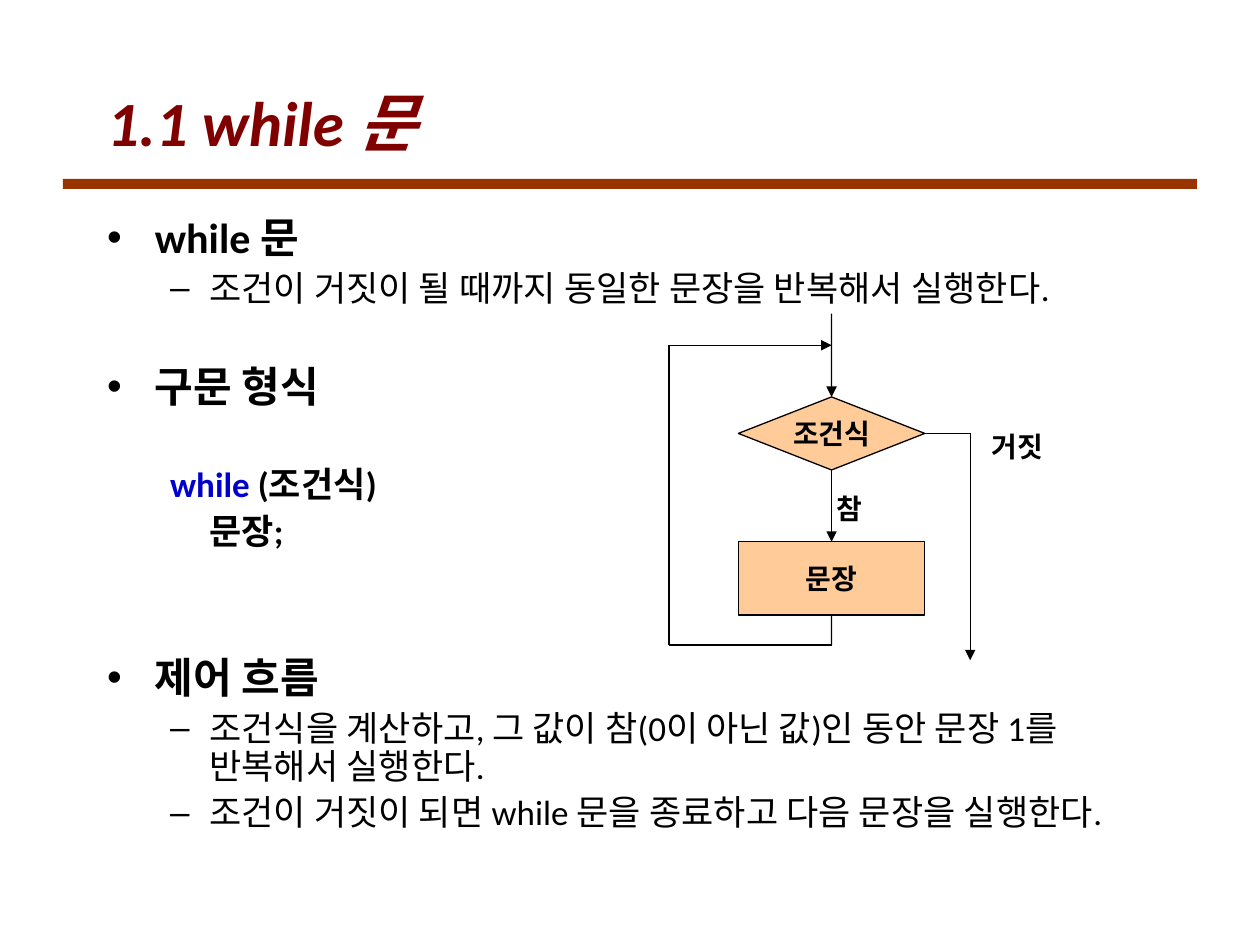
from pptx import Presentation
from pptx.dml.color import RGBColor
from pptx.enum.lang import MSO_LANGUAGE_ID
from pptx.enum.shapes import MSO_CONNECTOR, MSO_SHAPE
from pptx.enum.text import MSO_ANCHOR, MSO_AUTO_SIZE, PP_ALIGN
from pptx.oxml.ns import qn
from pptx.util import Emu, Inches, Pt
from lxml import etree

KOREAN = MSO_LANGUAGE_ID.KOREAN
STRAIGHT = MSO_CONNECTOR.STRAIGHT
DECISION = MSO_SHAPE.FLOWCHART_DECISION
PROCESS = MSO_SHAPE.FLOWCHART_PROCESS
RECTANGLE = MSO_SHAPE.RECTANGLE
LEFT, CENTER = PP_ALIGN.LEFT, PP_ALIGN.CENTER
MIDDLE, TOP_ANCHOR = MSO_ANCHOR.MIDDLE, MSO_ANCHOR.TOP
NO_AUTOFIT = MSO_AUTO_SIZE.NONE
TOP, BOTTOM, RIGHT = 0, 2, 3

COLORS = {"title": "800000", "rule": "993300", "text": "000000",
          "keyword": "0000CC", "box": "FFCC99", "line": "000000"}
BODY_FONT, CHART_FONT = "Calibri", "Noto Sans CJK KR"

TITLE = "1.1 while 문"
# Paragraph style, space before in points, runs of (text, colour)
BODY = [
    ("heading", 0, [("while 문", "text")]),
    ("item", 5, [("조건이 거짓이 될 때까지 동일한 문장을 반복해서 실행한다.", "text")]),
    ("heading", 33, [("구문 형식", "text")]),
    ("code", 32, [("while", "keyword"), (" (조건식)", "text")]),
    ("code_inner", 5, [("문장;", "text")]),
    ("heading", 60, [("제어 흐름", "text")]),
    ("item", 5, [("조건식을 계산하고, 그 값이 참(0이 아닌 값)인 동안 문장 1를 반복해서 실행한다.", "text")]),
    ("item", 5, [("조건이 거짓이 되면 while 문을 종료하고 다음 문장을 실행한다.", "text")]),
]
# level, left margin, first-line indent, bullet, size, bold
STYLES = {
    "heading": (0, 0.38, -0.38, "•", 24, True),
    "item": (1, 0.81, -0.31, "–", 20, False),
    "code": (1, 0.81, -0.31, None, 20, True),
    "code_inner": (1, 0.81, 0, None, 20, True),
}

# Flowchart grid, in inches
COLUMNS = {"loop": 5.31, "main": 6.6, "exit": 7.7}
ROWS = {"start": 2.49, "join": 2.74, "condition": 3.44, "statement": 4.59,
        "return": 5.12, "end": 5.24}
BOX_WIDTH, BOX_HEIGHT = 1.48, 0.58
BOXES = [("condition", DECISION, "조건식"), ("statement", PROCESS, "문장")]
# Ends are (column, row) grid points or (box, side) joints; last is the arrowhead
LINES = [
    (("main", "start"), ("condition", TOP), True),
    (("condition", BOTTOM), ("statement", TOP), True),
    (("statement", BOTTOM), ("main", "return"), False),
    (("main", "return"), ("loop", "return"), False),
    (("loop", "return"), ("loop", "join"), False),
    (("loop", "join"), ("main", "join"), True),
    (("condition", RIGHT), ("exit", "condition"), False),
    (("exit", "condition"), ("exit", "end"), True),
]
LABELS = [("참", 6.54, 3.85, 0.41), ("거짓", 7.77, 3.36, 0.61)]
LABEL_HEIGHT = 0.37


def color(name):
    return RGBColor.from_string(COLORS[name])


def place(shape, *box):
    for name, value in zip(("left", "top", "width", "height"), box):
        setattr(shape, name, Inches(value))


def add_run(paragraph, text, fill, face, **formats):
    """Add a run whose Latin and East Asian typefaces are the same."""
    run = paragraph.add_run()
    run.text = text
    formats.update(name=face, language_id=KOREAN)
    for name, value in formats.items():
        setattr(run.font, name, value)
    run.font.color.rgb = color(fill)
    latin = run.font._element.find(qn("a:latin"))
    east_asian = etree.Element(qn("a:ea"), typeface=face)
    latin.addnext(east_asian)


def add_body_paragraph(paragraph, style, space_before, runs):
    level, margin, indent, bullet, size, bold = STYLES[style]
    paragraph.level = level
    properties = paragraph._p.get_or_add_pPr()
    properties.set("marL", str(Inches(margin)))
    properties.set("indent", str(Inches(indent)))
    if bullet:
        etree.SubElement(properties, qn("a:buChar"), char=bullet)
    else:
        etree.SubElement(properties, qn("a:buNone"))
    formats = {"line_spacing": 0.9, "space_before": Pt(space_before),
               "space_after": Pt(0), "alignment": LEFT}
    for name, value in formats.items():
        setattr(paragraph, name, value)
    for text, fill in runs:
        add_run(paragraph, text, fill, BODY_FONT, size=Pt(size), bold=bold)


def write_label(shape, text, alignment, anchor):
    frame = shape.text_frame
    frame.word_wrap = False
    frame.vertical_anchor = anchor
    paragraph = frame.paragraphs[0]
    paragraph.alignment = alignment
    add_run(paragraph, text, "text", CHART_FONT, size=Pt(16), bold=True)


def add_box(slide, row, kind, text):
    left = COLUMNS["main"] - BOX_WIDTH / 2
    top = ROWS[row] - BOX_HEIGHT / 2
    box = slide.shapes.add_shape(kind, Inches(left), Inches(top),
                                 Inches(BOX_WIDTH), Inches(BOX_HEIGHT))
    box.shadow.inherit = False
    box.fill.solid()
    box.fill.fore_color.rgb = color("box")
    box.line.color.rgb = color("line")
    box.line.width = Pt(0.75)
    write_label(box, text, CENTER, MIDDLE)
    return box


def add_line(slide, boxes, start, end, has_arrow):
    points = [Emu(0), Emu(0)] * 2
    for index, (first, second) in enumerate((start, end)):
        if first in COLUMNS:
            points[2 * index:2 * index + 2] = Inches(COLUMNS[first]), Inches(ROWS[second])
    line = slide.shapes.add_connector(STRAIGHT, *points)
    for (first, second), connect in ((start, line.begin_connect), (end, line.end_connect)):
        if first in boxes:
            connect(boxes[first], second)
    line.line.color.rgb = color("line")
    line.line.width = Pt(0.75)
    if has_arrow:
        etree.SubElement(line.line._get_or_add_ln(), qn("a:tailEnd"), type="triangle")
    etree.SubElement(line._element.spPr, qn("a:effectLst"))


def main():
    presentation = Presentation()
    presentation.slide_width, presentation.slide_height = Inches(10), Inches(7.5)
    slide = presentation.slides.add_slide(presentation.slide_layouts[1])

    rule = slide.shapes.add_shape(RECTANGLE, 0, 0, 0, 0)
    place(rule, 0.5, 1.42, 9, 0.08)
    rule.shadow.inherit = False
    rule.fill.solid()
    rule.fill.fore_color.rgb = color("rule")
    rule.line.fill.background()

    title, body = slide.placeholders
    place(title, 0.75, 0.5, 8.5, 0.92)
    title.text_frame.auto_size = NO_AUTOFIT
    title.text_frame.vertical_anchor = MIDDLE
    heading = title.text_frame.paragraphs[0]
    heading.alignment = LEFT
    add_run(heading, TITLE, "title", BODY_FONT, size=Pt(36), bold=True, italic=True)

    place(body, 0.75, 1.67, 8.82, 5.17)
    frame = body.text_frame
    frame.auto_size = NO_AUTOFIT
    for index, content in enumerate(BODY):
        paragraph = frame.add_paragraph() if index else frame.paragraphs[0]
        add_body_paragraph(paragraph, *content)

    boxes = {row: add_box(slide, row, kind, text) for row, kind, text in BOXES}
    for start, end, has_arrow in LINES:
        add_line(slide, boxes, start, end, has_arrow)
    for text, left, top, width in LABELS:
        label = slide.shapes.add_textbox(0, 0, 0, 0)
        place(label, left, top, width, LABEL_HEIGHT)
        write_label(label, text, LEFT, TOP_ANCHOR)

    presentation.save("out.pptx")


if __name__ == "__main__":
    main()
